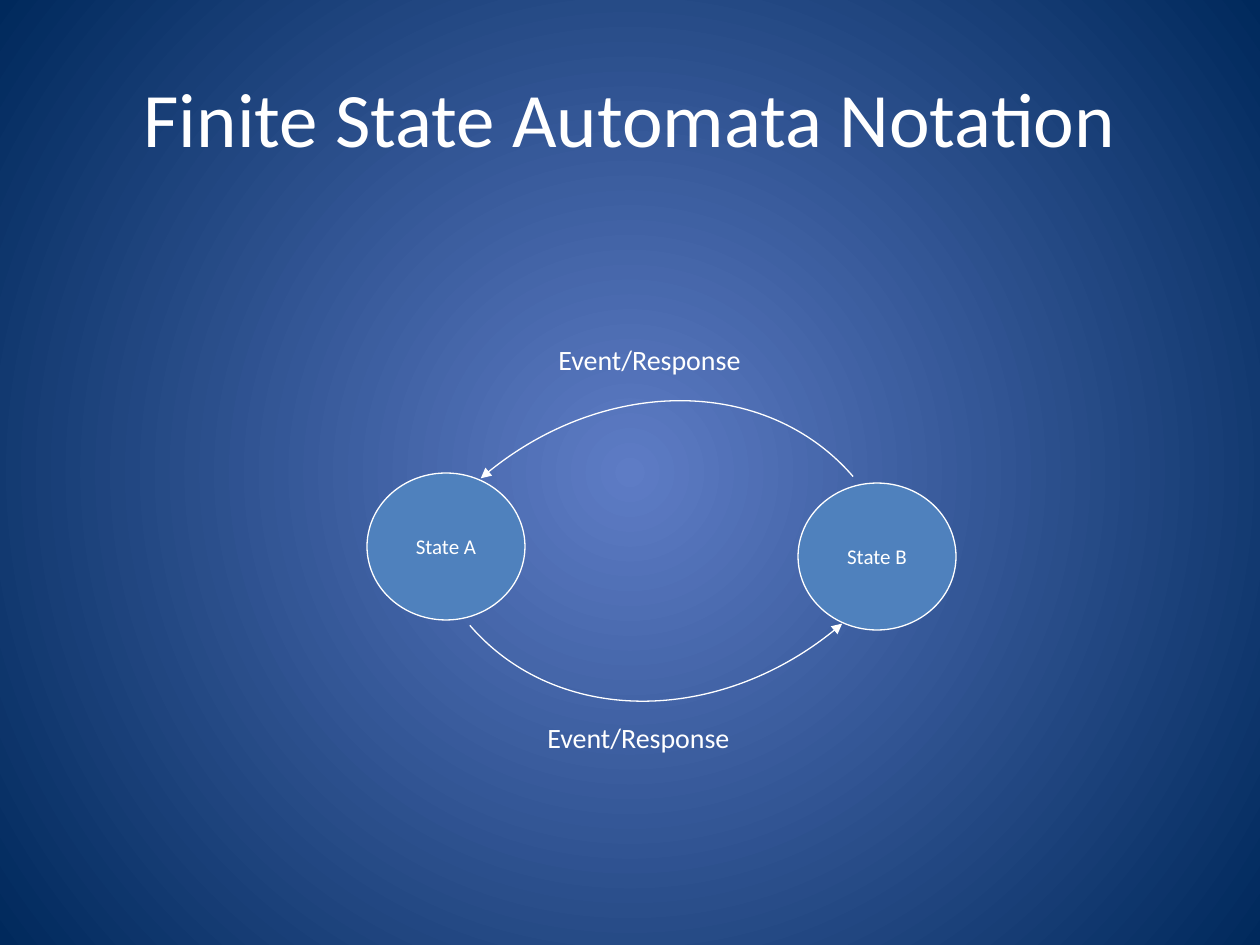
from lxml.etree import SubElement
from pptx import Presentation
from pptx.dml.color import RGBColor
from pptx.enum.shapes import MSO_SHAPE
from pptx.enum.text import MSO_ANCHOR as Anchor, PP_ALIGN as Align
from pptx.oxml.ns import qn
from pptx.util import Pt

PX = 914400 / 126
WHITE = RGBColor(0xFF, 0xFF, 0xFF)
STATE_BLUE = RGBColor(0x4F, 0x81, 0xBD)
GLOW_BLUE = RGBColor(0x5E, 0x7C, 0xC5)
DEEP_BLUE = RGBColor(0x00, 0x29, 0x5C)

STATES = [("State A", 367, 473), ("State B", 798, 483)]
ARC_WIDTH, ARC_HEIGHT = 242, 283
ARC_TILT = 49.2
ARC_EASE = 0.45  # distance of a control point from the corner, as a share of the side
# Left and top of the untilted arc, and whether it is turned half round
TRANSITIONS = [(546, 336, False), (535, 483, True)]
EVENT_LABELS = [(546, 336), (535, 714)]


def px(*lengths):
    return [round(length * PX) for length in lengths]


def paint_background(slide):
    """Radial gradient spreading from the centre of the slide."""
    fill = slide.background.fill
    fill.gradient()
    for stop, position, color in zip(fill.gradient_stops, (0, 1), (GLOW_BLUE, DEEP_BLUE)):
        stop.position = position
        stop.color.rgb = color
    linear = slide.element.find(".//" + qn("a:lin"))
    gradient = linear.getparent()
    gradient.remove(linear)
    radial = SubElement(gradient, qn("a:path"))
    radial.set("path", "circle")
    center = SubElement(radial, qn("a:fillToRect"))
    for side in "ltrb":
        center.set(side, "50000")


def write(shape, text, size, align=Align.CENTER, anchor=Anchor.MIDDLE, wrap=False):
    frame = shape.text_frame
    frame.word_wrap = wrap
    frame.vertical_anchor = anchor
    paragraph = frame.paragraphs[0]
    paragraph.alignment = align
    run = paragraph.add_run()
    run.text = text
    run.font.size = Pt(size)
    run.font.name = "Calibri"
    run.font.color.rgb = WHITE


def add_label(slide, text, box, size, **text_format):
    write(slide.shapes.add_textbox(*px(*box)), text, size, **text_format)


def outline(shape):
    shape.shadow.inherit = False
    shape.line.color.rgb = WHITE
    shape.line.width = Pt(0.75)


def add_state(slide, name, left, top):
    state = slide.shapes.add_shape(MSO_SHAPE.OVAL, *px(left, top, 158, 147))
    state.fill.solid()
    state.fill.fore_color.rgb = STATE_BLUE
    outline(state)
    write(state, name, 12)


def add_transition(slide, left, top, turned):
    """Tilted quarter ellipse with an arrowhead at its end."""
    shares = [(1, 0), (ARC_EASE, 0), (0, ARC_EASE), (0, 1)]
    if turned:
        shares = [(1 - x, 1 - y) for x, y in shares]
    points = [(left + x * ARC_WIDTH, top + y * ARC_HEIGHT) for x, y in shares]
    builder = slide.shapes.build_freeform(*points[0], scale=PX)
    builder.add_line_segments(points[1:], close=False)
    curve = builder.convert_to_shape()
    curve.rotation = ARC_TILT
    curve.fill.background()
    outline(curve)

    segments = list(curve.element.iter(qn("a:lnTo")))
    bezier = SubElement(segments[0].getparent(), qn("a:cubicBezTo"))
    for segment in segments:
        bezier.append(segment[0])
        segment.getparent().remove(segment)

    line = curve.element.spPr.find(qn("a:ln"))
    SubElement(line, qn("a:tailEnd")).set("type", "triangle")


def main():
    prs = Presentation()
    prs.slide_width, prs.slide_height = px(1260, 945)
    slide = prs.slides.add_slide(prs.slide_layouts[6])
    paint_background(slide)
    add_label(slide, "Finite State Automata Notation", (63, 38, 1134, 157), 44, wrap=True)
    for state in STATES:
        add_state(slide, *state)
    for transition in TRANSITIONS:
        add_transition(slide, *transition)
    for left, top in EVENT_LABELS:
        add_label(slide, "Event/Response", (left, top, 223, 47), 16,
                  align=Align.LEFT, anchor=Anchor.TOP)
    prs.save("out.pptx")


if __name__ == "__main__":
    main()
